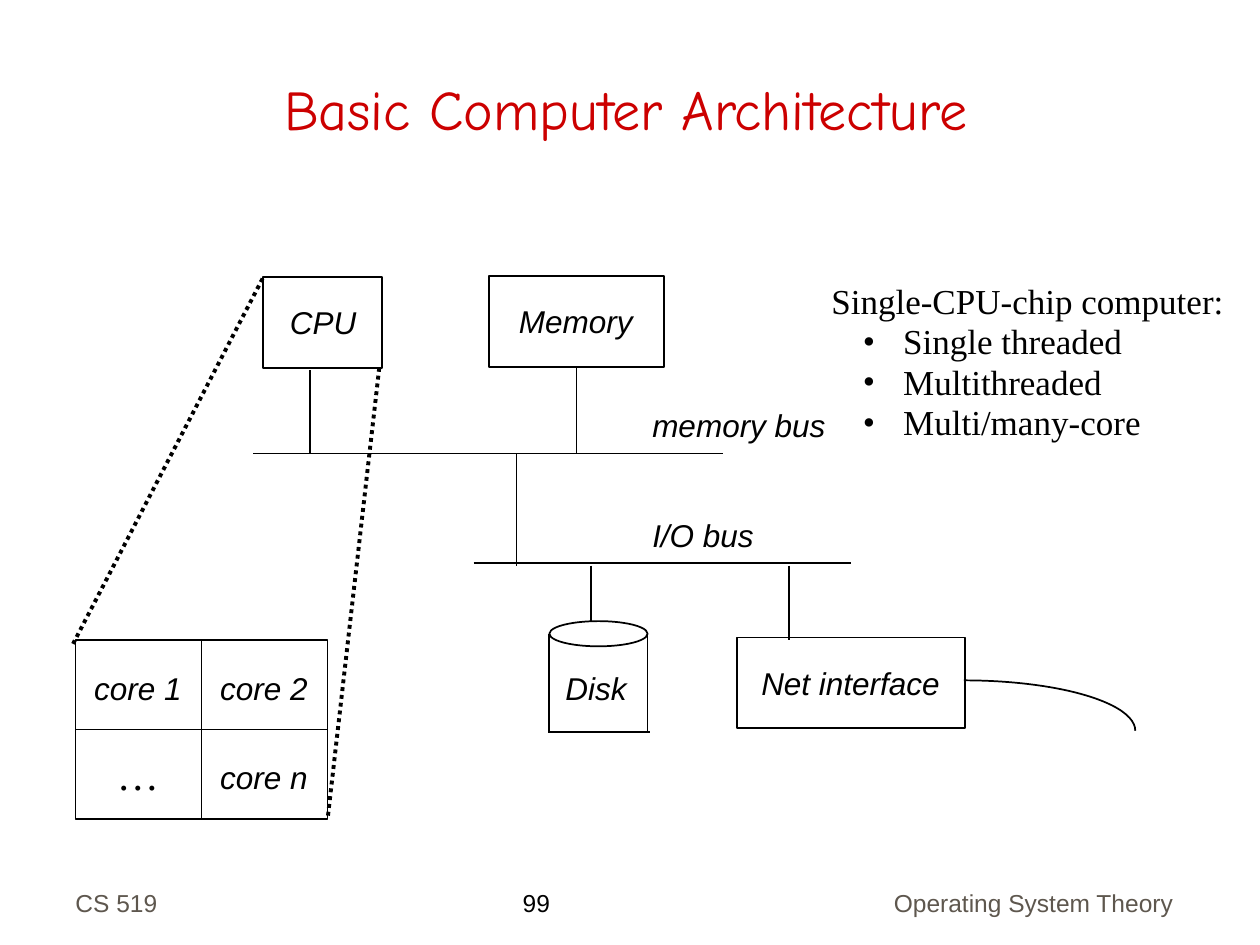
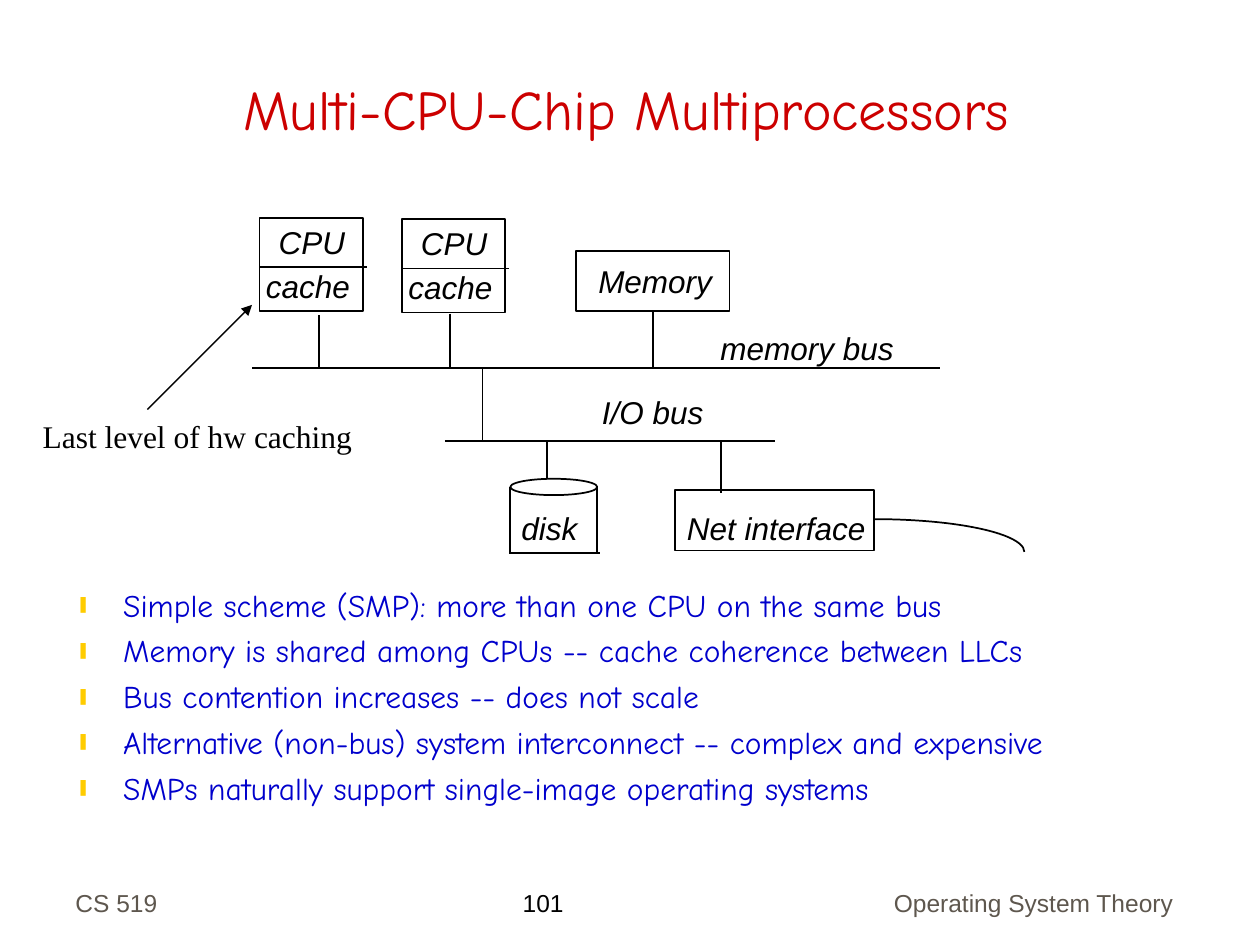
from lxml import etree
from pptx import Presentation
from pptx.dml.color import RGBColor
from pptx.enum.dml import MSO_LINE
from pptx.enum.shapes import MSO_CONNECTOR, MSO_SHAPE
from pptx.enum.text import MSO_ANCHOR, PP_ALIGN
from pptx.oxml.ns import qn
from pptx.util import Inches, Pt

# The slide is a grid of 10 columns by 7.5 rows, one inch each.
COLUMNS, ROWS = 10, 7.5
LEFT, CENTER, RIGHT = PP_ALIGN.LEFT, PP_ALIGN.CENTER, PP_ALIGN.RIGHT
TOP, BOTTOM = MSO_ANCHOR.TOP, MSO_ANCHOR.BOTTOM
RECTANGLE, OVAL, ARC = MSO_SHAPE.RECTANGLE, MSO_SHAPE.OVAL, MSO_SHAPE.ARC
STRAIGHT, DOTTED = MSO_CONNECTOR.STRAIGHT, MSO_LINE.ROUND_DOT
BOTTOM_SITE = 2

COLORS = {"ink": "000000", "paper": "FFFFFF", "title": "CC0000",
          "body": "0000CC", "bullet": "FFCC00", "footer": "5E574E"}
# Font name, size, colour, italic
STYLES = {
    "title": ("Comic Neue", 32, "title", False),
    "body": ("Comic Neue", 18, "body", False),
    "number": ("Arial", 14, "ink", False),
    "footer": ("Arial", 14, "footer", False),
    "label": ("Arial", 18, "ink", True),
    "note": ("Times New Roman", 18, "ink", False),
    "list": ("Times New Roman", 20, "ink", False),
    "dots": ("Times New Roman", 24, "ink", False),
}
# Character, colour, size in percent, text indent, hanging indent
CHIP_BULLET = ("•", "ink", 100, 0.57, 0.32)
BODY_BULLET = ("❚", "bullet", 50, 0.37, 0.37)

CHIP_HEADING = "Single-CPU-chip computer:"
CHIP_KINDS = ["Single threaded", "Multithreaded", "Multi/many-core"]
CORES = [["core 1", "core 2"], ["…", "core n"]]
SMP_POINTS = [
    "Simple scheme (SMP): more than one CPU on the same bus",
    "Memory is shared among CPUs -- cache coherence between LLCs",
    "Bus contention increases -- does not scale",
    "Alternative (non-bus) system interconnect -- complex and expensive",
    "SMPs naturally support single-image operating systems",
]

# Boxes: left, top, width, height. Buses: start, end, row.
# Drops: column, top, bottom. Labels: text, left, top, width.
SINGLE = {
    "cpus": [(2.09, 2.2, 0.94, 0.72)],
    "memory": (3.88, 2.19, 1.39, 0.72),
    "net": (5.85, 5.06, 1.81, 0.72),
    "buses": [(2.01, 5.74, 3.6), (3.76, 6.75, 4.47)],
    "drops": [(2.46, 2.94, 3.6), (4.1, 3.6, 4.49),
              (4.69, 4.49, 4.94), (6.26, 4.49, 5.08)],
    "disk": (4.36, 4.93, 0.78, 0.2, 5.81),
    "cable": (7.65, 5.4, 1.36, 0.4),
    "labels": [("CPU", 2.2, 2.36, 0.73), ("Memory", 4.02, 2.35, 1.1),
               ("memory bus", 5.08, 3.17, 1.57), ("I/O bus", 5.08, 4.05, 1),
               ("Disk", 4.39, 5.26, 0.68),
               ("Net interface", 5.94, 5.22, 1.62)],
}
MULTI = {
    "cpus": [(2.06, 1.73, 0.82, 0.74), (3.19, 1.74, 0.82, 0.74)],
    "memory": (4.57, 1.99, 1.22, 0.48),
    "net": (5.36, 3.89, 1.58, 0.48),
    "buses": [(2, 7.46, 2.92), (3.53, 6.15, 3.5)],
    "drops": [(2.53, 2.5, 2.92), (3.57, 2.49, 2.92), (3.83, 2.92, 3.51),
              (4.34, 3.51, 3.81), (5.72, 3.51, 3.91)],
    "disk": (4.05, 3.8, 0.69, 0.13, 4.39),
    "cable": (6.94, 4.12, 1.19, 0.26),
    "labels": [("Memory", 4.65, 2.03, 1.1), ("memory bus", 5.62, 2.56, 1.57),
               ("I/O bus", 4.68, 3.07, 1), ("disk", 4.04, 3.99, 0.64),
               ("Net interface", 5.35, 3.99, 1.62)],
}


def color(name):
    return RGBColor.from_string(COLORS[name])


def inches(*lengths):
    return [Inches(length) for length in lengths]


def add_bullet(para, bullet, font_name):
    char, tint, percent, indent, hanging = bullet
    props = para._p.get_or_add_pPr()
    props.set("marL", str(Inches(indent)))
    props.set("indent", str(-Inches(hanging)))
    fill = etree.SubElement(props, qn("a:buClr"))
    etree.SubElement(fill, qn("a:srgbClr"), val=COLORS[tint])
    etree.SubElement(props, qn("a:buSzPct"), val=str(percent * 1000))
    etree.SubElement(props, qn("a:buFont"), typeface=font_name)
    etree.SubElement(props, qn("a:buChar"), char=char)


def add_text(page, place, lines, style, align=LEFT, anchor=TOP, margin=0.1,
             spacing=None, before=0):
    """Write lines, each a (text, bullet or None) pair, in one text box."""
    name, size, tint, italic = STYLES[style]
    frame = page.shapes.add_textbox(*inches(*place)).text_frame
    frame.word_wrap = True
    frame.margin_left = frame.margin_right = Inches(margin)
    frame.vertical_anchor = anchor
    for index, (text, bullet) in enumerate(lines):
        para = frame.add_paragraph() if index else frame.paragraphs[0]
        para.text = text
        para.alignment = align
        if spacing:
            para.line_spacing = spacing
        if index and before:
            para.space_before = Pt(before)
        if bullet:
            add_bullet(para, bullet, name)
        font = para.font
        font.name, font.size, font.italic = name, Pt(size), italic
        font.color.rgb = color(tint)


def add_label(page, text, left, top, width, style="label"):
    """Centre one line; without side margins it has room not to wrap."""
    add_text(page, (left, top, width, 0.4), [(text, None)], style,
             align=CENTER, margin=0)


def add_outline(page, kind, place, weight=1, filled=True):
    shape = page.shapes.add_shape(kind, *inches(*place))
    shape.shadow.inherit = False
    if filled:
        shape.fill.solid()
        shape.fill.fore_color.rgb = color("paper")
    else:
        shape.fill.background()
    shape.line.color.rgb = color("ink")
    shape.line.width = Pt(weight)
    return shape


def add_line(page, start, end, weight=1, dash=None, arrow=False):
    line = page.shapes.add_connector(STRAIGHT, *inches(*start, *end))
    line.line.color.rgb = color("ink")
    line.line.width = Pt(weight)
    if dash:
        line.line.dash_style = dash
    props = line._element.spPr
    if arrow:
        etree.SubElement(props.find(qn("a:ln")), qn("a:tailEnd"),
                         type="triangle")
    etree.SubElement(props, qn("a:effectLst"))
    return line


def add_disk(page, left, top, width, lid, base):
    """Draw a cylinder: an oval lid, two sides and a flat base."""
    right, shoulder = left + width, top + lid / 2
    add_outline(page, OVAL, (left, top, width, lid))
    for side in (left, right):
        add_line(page, (side, shoulder), (side, base))
    add_line(page, (left - 0.01, base), (right + 0.02, base))


def add_cable(page, left, top, width, height):
    """Draw the top right quarter of an ellipse."""
    add_outline(page, ARC, (left - width, top, 2 * width, 2 * height),
                filled=False)


def add_computer(page, parts):
    """Draw the CPUs, memory, buses and devices of one machine."""
    for cpu in parts["cpus"]:
        add_outline(page, RECTANGLE, cpu)
    memory = add_outline(page, RECTANGLE, parts["memory"])
    add_outline(page, RECTANGLE, parts["net"])
    for start, end, row in parts["buses"]:
        add_line(page, (start, row), (end, row))
    for column, top, bottom in parts["drops"]:
        add_line(page, (column, top), (column, bottom))
    left, top, width, height = parts["memory"]
    middle, memory_bus = left + width / 2, parts["buses"][0][2]
    drop = add_line(page, (middle, top + height), (middle, memory_bus))
    drop.begin_connect(memory, BOTTOM_SITE)
    add_disk(page, *parts["disk"])
    add_cable(page, *parts["cable"])
    for label in parts["labels"]:
        add_label(page, *label)


def add_page(deck, title, number):
    page = deck.slides.add_slide(deck.slide_layouts[6])
    add_text(page, (4.05, 7, 1.09, 0.34), [(number, None)], "number")
    add_text(page, (0.5, 6.83, 2.08, 0.5), [("CS 519", None)], "footer",
             anchor=BOTTOM)
    add_text(page, (6.9, 6.76, 2.51, 0.57),
             [("Operating System Theory", None)], "footer", align=RIGHT,
             anchor=BOTTOM)
    add_text(page, (0.44, 0.25, 9.06, 0.92), [(title, None)], "title",
             align=CENTER, anchor=BOTTOM)
    return page


def add_cores(page, left, top, width, height):
    """Draw the enlarged CPU as a grid of cores, joined to its box."""
    right, bottom = left + width, top + height
    cell_width, cell_height = width / len(CORES[0]), height / len(CORES)
    add_outline(page, RECTANGLE, (left, top, width, height), 0.75, False)
    for column in range(1, len(CORES[0])):
        x = left + column * cell_width
        add_line(page, (x, top), (x, bottom), 0.75)
    for row in range(1, len(CORES)):
        y = top + row * cell_height
        add_line(page, (left, y), (right, y), 0.75)
    for row, names in enumerate(CORES):
        for column, name in enumerate(names):
            style, offset = ("dots", 0.1) if name == "…" else ("label", 0.18)
            add_label(page, name, left + column * cell_width + 0.05,
                      top + row * cell_height + offset, 0.89, style)
    cpu_left, cpu_top, cpu_width, cpu_height = SINGLE["cpus"][0]
    add_line(page, (left - 0.02, top + 0.03), (cpu_left, cpu_top),
             2.25, DOTTED)
    add_line(page, (cpu_left + cpu_width - 0.02, cpu_top + cpu_height),
             (right, bottom), 2.25, DOTTED)


def add_single_page(deck):
    page = add_page(deck, "Basic Computer Architecture", "99")
    lines = [(CHIP_HEADING, None)] + [(kind, CHIP_BULLET)
                                      for kind in CHIP_KINDS]
    add_text(page, (6.5, 2.19, 3.33, 1.38), lines, "list", spacing=0.96)
    add_computer(page, SINGLE)
    add_cores(page, 0.6, 5.08, 2, 1.42)


def add_multi_page(deck):
    page = add_page(deck, "Multi-CPU-Chip Multiprocessors", "101")
    add_computer(page, MULTI)
    for left, top, width, _ in MULTI["cpus"]:
        divider = top + 0.39
        add_line(page, (left, divider), (left + width + 0.03, divider))
        add_label(page, "CPU", left + 0.05, top - 0.01, 0.73)
        add_label(page, "cache", left - 0.05, top + 0.34, 0.87)
    add_text(page, (0.24, 3.28, 2.7, 0.39),
             [("Last level of hw caching", None)], "note", spacing=0.96)
    add_line(page, (1.17, 3.25), (2, 2.42), 0.75, arrow=True)
    add_text(page, (0.51, 4.6, 8.74, 2.32),
             [(point, BODY_BULLET) for point in SMP_POINTS], "body",
             before=4.5)


def main():
    deck = Presentation()
    deck.slide_width, deck.slide_height = inches(COLUMNS, ROWS)
    add_single_page(deck)
    add_multi_page(deck)
    deck.save("out.pptx")


if __name__ == "__main__":
    main()
